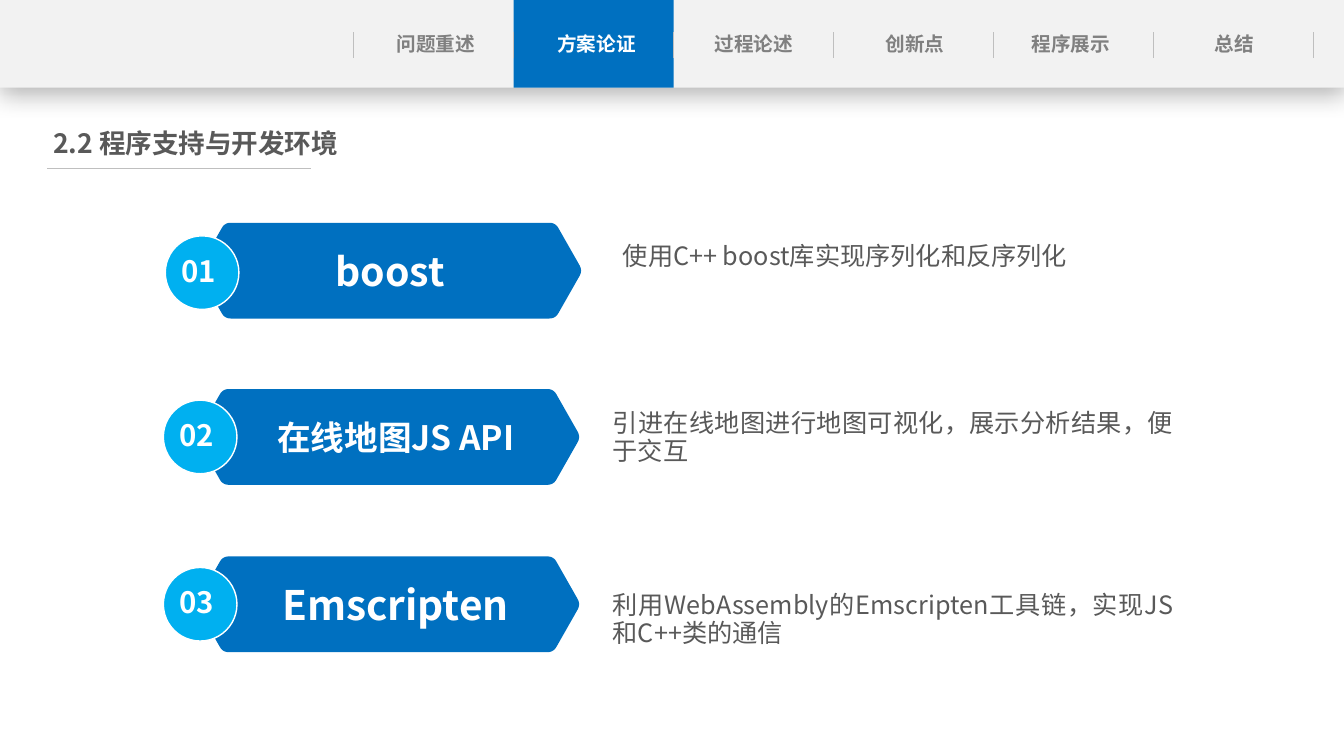
from dataclasses import dataclass
from typing import Any

import lxml.etree
import pptx
import pptx.dml.color
import pptx.enum.shapes
import pptx.enum.text
import pptx.oxml.ns
import pptx.util

SLIDE_WIDTH = pptx.util.Inches(13.333)
SLIDE_HEIGHT = pptx.util.Inches(7.5)
COLUMNS, ROWS = 84, 75
FONT = "Noto Sans CJK SC"
COLORS = {
    "band": "F2F2F2", "active": "0070C0", "badge": "00B0F0", "white": "FFFFFF",
    "muted": "808080", "text": "595959", "rule": "BFBFBF", "shadow": "000000",
}
BAND_ROWS = 8.7
FIRST_DIVIDER, TAB_COLUMNS = 22.11, 10
ACTIVE_TAB = 1
ARROW_VERTICES = [(-0.13, 4.75), (1.58, 0), (22.24, 0), (23.94, 4.75), (22.24, 9.5), (1.58, 9.5)]
CORNER_CUT = pptx.util.Inches(0.06)
CURVE_STEPS = 6
ALIGN = pptx.enum.text.PP_ALIGN
PRESET = pptx.enum.shapes.MSO_SHAPE


@dataclass(frozen=True)
class Box:
    column: float
    row: float
    columns: float
    rows: float


@dataclass(frozen=True)
class Tab:
    label: str
    column: float
    columns: float


@dataclass(frozen=True)
class Tool:
    name: str
    size: float
    column: float
    row: float
    left_inset: float
    badge_drop: float
    description: str
    description_box: Box


TABS = [
    Tab("问题重述", 22.62, 9.26),
    Tab("方案论证", 33.89, 6.8),
    Tab("过程论述", 42.08, 10.08),
    Tab("创新点", 54.12, 6.17),
    Tab("程序展示", 64.13, 5.61),
    Tab("总结", 72.51, 9.26),
]
TOOLS = [
    Tool("boost", 28, 12.47, 22.1, 0.63, 1.3,
         "使用C++ boost库实现序列化和反序列化", Box(38.93, 24.1, 35.03, 2.8)),
    Tool("在线地图JS API", 24, 12.35, 38.6, 1.58, 1.1,
         "引进在线地图进行地图可视化，展示分析结果，便于交互", Box(38.3, 40.6, 35.03, 5.6)),
    Tool("Emscripten", 29, 12.35, 55.2, 1.58, 1.1,
         "利用WebAssembly的Emscripten工具链，实现JS和C++类的通信", Box(38.3, 58.7, 35.03, 5.6)),
]


def across(columns: float) -> int:
    return round(SLIDE_WIDTH * columns / COLUMNS)


def down(rows: float) -> int:
    return round(SLIDE_HEIGHT * rows / ROWS)


def place(box: Box) -> tuple[int, int, int, int]:
    return across(box.column), down(box.row), across(box.columns), down(box.rows)


def rgb(color: str) -> pptx.dml.color.RGBColor:
    return pptx.dml.color.RGBColor.from_string(COLORS[color])


def write(shape: Any, text: str, size: float, color: str, bold: bool = True,
          align: Any = ALIGN.CENTER) -> None:
    shape.text_frame.text = text
    paragraph = shape.text_frame.paragraphs[0]
    paragraph.alignment = align
    for run in paragraph.runs:
        run.font.size = pptx.util.Pt(size)
        run.font.bold = bold
        run.font.color.rgb = rgb(color)
        run.font.name = FONT
        east_asian = lxml.etree.SubElement(run.font._element, pptx.oxml.ns.qn("a:ea"))
        east_asian.set("typeface", FONT)


def fit(shape: Any, vertical_inset: float) -> None:
    frame = shape.text_frame
    frame.word_wrap = True
    frame.auto_size = pptx.enum.text.MSO_AUTO_SIZE.SHAPE_TO_FIT_TEXT
    frame.vertical_anchor = pptx.enum.text.MSO_ANCHOR.TOP
    frame.margin_left = frame.margin_right = 0
    frame.margin_top = frame.margin_bottom = down(vertical_inset)


def paint(shape: Any, color: str) -> None:
    shape.shadow.inherit = False
    shape.fill.solid()
    shape.fill.fore_color.rgb = rgb(color)
    shape.line.fill.background()


def add_preset(shapes: Any, preset: Any, box: Box, color: str) -> Any:
    shape = shapes.add_shape(preset, *place(box))
    paint(shape, color)
    return shape


def add_rule(shapes: Any, start: tuple[float, float], end: tuple[float, float]) -> None:
    connector = shapes.add_connector(
        pptx.enum.shapes.MSO_CONNECTOR.STRAIGHT,
        across(start[0]), down(start[1]), across(end[0]), down(end[1]))
    connector.line.color.rgb = rgb("rule")
    connector.line.width = pptx.util.Pt(0.5)
    lxml.etree.SubElement(connector._element.spPr, pptx.oxml.ns.qn("a:effectLst"))


def add_band(shapes: Any) -> None:
    band = add_preset(shapes, PRESET.RECTANGLE, Box(0, 0, COLUMNS, BAND_ROWS), "band")
    effects = band._element.spPr.find(pptx.oxml.ns.qn("a:effectLst"))
    shadow = lxml.etree.SubElement(effects, pptx.oxml.ns.qn("a:outerShdw"))
    shadow.set("blurRad", str(pptx.util.Pt(18)))
    shadow.set("dist", str(pptx.util.Pt(4)))
    shadow.set("dir", "5400000")
    color = lxml.etree.SubElement(shadow, pptx.oxml.ns.qn("a:srgbClr"), val=COLORS["shadow"])
    lxml.etree.SubElement(color, pptx.oxml.ns.qn("a:alpha"), val="29000")


def add_navigation(shapes: Any) -> None:
    add_band(shapes)
    active_column = FIRST_DIVIDER + ACTIVE_TAB * TAB_COLUMNS
    add_preset(shapes, PRESET.RECTANGLE, Box(active_column, 0, TAB_COLUMNS, BAND_ROWS), "active")
    for index, tab in enumerate(TABS):
        label = shapes.add_textbox(*place(Box(tab.column, 2.7, tab.columns, 3.4)))
        fit(label, 0.5)
        write(label, tab.label, 14, "white" if index == ACTIVE_TAB else "muted")
    for index in range(len(TABS) + 1):
        column = FIRST_DIVIDER + index * TAB_COLUMNS
        add_rule(shapes, (column, 3.2), (column, 5.8))


def toward(corner: tuple[int, int], other: tuple[int, int]) -> tuple[float, float]:
    run, rise = other[0] - corner[0], other[1] - corner[1]
    share = CORNER_CUT / (run ** 2 + rise ** 2) ** 0.5
    return corner[0] + run * share, corner[1] + rise * share


def rounded_outline(corners: list[tuple[int, int]]) -> list[tuple[int, int]]:
    outline = []
    for index, corner in enumerate(corners):
        start = toward(corner, corners[index - 1])
        end = toward(corner, corners[(index + 1) % len(corners)])
        for step in range(CURVE_STEPS + 1):
            t = step / CURVE_STEPS
            outline.append(tuple(
                round((1 - t) ** 2 * a + 2 * t * (1 - t) * b + t ** 2 * c)
                for a, b, c in zip(start, corner, end)))
    return outline


def add_arrow(shapes: Any, tool: Tool) -> None:
    outline = rounded_outline([
        (across(tool.column + column), down(tool.row + row)) for column, row in ARROW_VERTICES])
    builder = shapes.build_freeform(*outline[0])
    builder.add_line_segments(outline[1:], close=True)
    arrow = builder.convert_to_shape()
    paint(arrow, "active")
    frame = arrow.text_frame
    frame.word_wrap = True
    frame.vertical_anchor = pptx.enum.text.MSO_ANCHOR.MIDDLE
    frame.margin_left = across(tool.left_inset)
    write(arrow, tool.name, tool.size, "white")


def add_badge(shapes: Any, tool: Tool, number: int) -> None:
    group = shapes.add_group_shape()
    column, row = tool.column - 2.14, tool.row + tool.badge_drop
    circle = add_preset(group.shapes, PRESET.OVAL, Box(column, row, 4.6, 7.3), "badge")
    circle.line.color.rgb = rgb("white")
    circle.line.width = pptx.util.Pt(1)
    label = group.shapes.add_textbox(*place(Box(column + 0.38, row + 1.2, 3.59, 4.5)))
    label.text_frame.word_wrap = False
    label.text_frame.auto_size = pptx.enum.text.MSO_AUTO_SIZE.SHAPE_TO_FIT_TEXT
    write(label, f"{number:02d}", 21, "white", align=ALIGN.LEFT)


def add_tool(shapes: Any, tool: Tool, number: int) -> None:
    add_arrow(shapes, tool)
    add_badge(shapes, tool, number)
    description = shapes.add_textbox(*place(tool.description_box))
    fit(description, 0)
    write(description, tool.description, 18, "text", bold=False, align=ALIGN.JUSTIFY)
    description.text_frame.paragraphs[0].line_spacing = pptx.util.Pt(20)


def main() -> None:
    presentation = pptx.Presentation()
    presentation.slide_width, presentation.slide_height = SLIDE_WIDTH, SLIDE_HEIGHT
    slide = presentation.slides.add_slide(presentation.slide_layouts[5])
    title = slide.shapes.title
    title.left, title.top, title.width, title.height = place(Box(1.7, 12.1, 21.04, 4.3))
    fit(title, 0.5)
    write(title, "2.2 程序支持与开发环境", 19, "text")
    add_navigation(slide.shapes)
    add_rule(slide.shapes, (2.96, 16.7), (19.47, 16.7))
    for number, tool in enumerate(TOOLS, start=1):
        add_tool(slide.shapes, tool, number)
    presentation.save("out.pptx")


if __name__ == "__main__":
    main()
